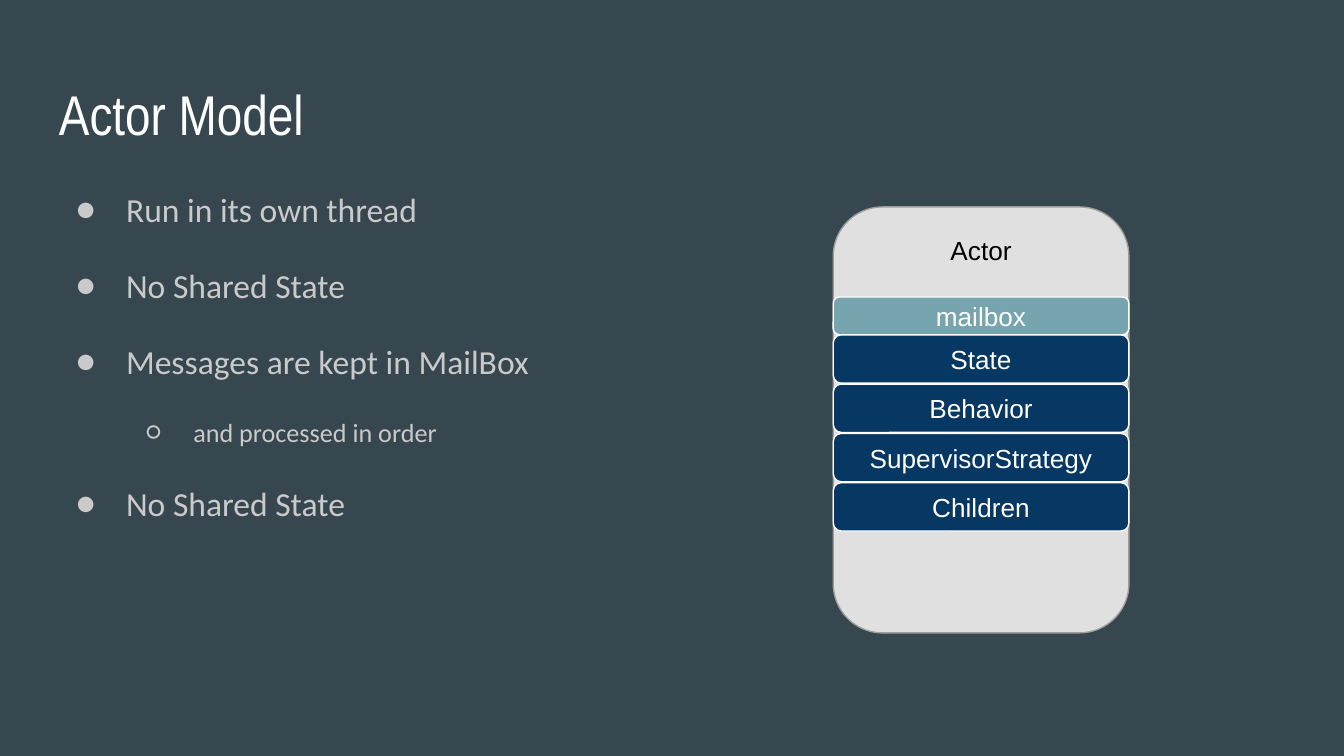
from dataclasses import dataclass

from lxml.etree import SubElement
from pptx import Presentation
from pptx.dml.color import RGBColor
from pptx.enum.shapes import MSO_SHAPE as Shape
from pptx.enum.text import MSO_ANCHOR as Anchor, PP_ALIGN as Align
from pptx.oxml.ns import qn
from pptx.util import Pt

COLORS = {
    "background": "37474F",
    "white": "FFFFFF",
    "black": "000000",
    "body": "CACACA",
    "actor": "E0E0E0",
    "actor_line": "9E9E9E",
    "mailbox": "76A5AF",
    "part": "073763",
}
INSET = 7.2
ACTOR_LEFT, ACTOR_WIDTH = 446.4, 158.4
PARTS_TOP, PART_HEIGHT, PART_PITCH = 179.4, 25.9, 26.4


@dataclass
class Bullet:
    text: str
    level: int = 0


@dataclass
class Box:
    text: str
    top: float
    height: float
    fill: str
    line: str = "white"
    color: str = "white"
    anchor: Anchor = Anchor.MIDDLE


BULLETS = [
    Bullet("Run in its own thread"),
    Bullet("No Shared State"),
    Bullet("Messages are kept in MailBox"),
    Bullet("and processed in order", level=1),
    Bullet("No Shared State"),
]
PARTS = ["State", "Behavior", "SupervisorStrategy", "Children"]
BOXES = [
    Box("Actor", 110.9, 228.2, "actor", "actor_line", "black", Anchor.TOP),
    Box("mailbox", 159.1, 20.2, "mailbox"),
    *(Box(name, PARTS_TOP + i * PART_PITCH, PART_HEIGHT, "part")
      for i, name in enumerate(PARTS)),
]


def rgb(name: str) -> RGBColor:
    return RGBColor.from_string(COLORS[name])


def write(p, text: str, *, size: float, font: str, color: str, align=Align.LEFT) -> None:
    p.alignment = align
    r = p.add_run()
    r.text = text
    r.font.size = Pt(size)
    r.font.name = font
    r.font.color.rgb = rgb(color)


def set_frame(sp, anchor: Anchor):
    tf = sp.text_frame
    tf.word_wrap = True
    tf.vertical_anchor = anchor
    tf.margin_left = tf.margin_right = tf.margin_top = tf.margin_bottom = Pt(INSET)
    return tf


def add_text_box(s, left: float, top: float, width: float, height: float):
    sp = s.shapes.add_textbox(Pt(left), Pt(top), Pt(width), Pt(height))
    return set_frame(sp, Anchor.TOP)


def set_bullet(p, level: int) -> None:
    """Give the paragraph its hanging indent and bullet sign."""
    p.level = level
    pPr = p._p.get_or_add_pPr()
    pPr.set("marL", str(Pt(36 * (level + 1))))
    pPr.set("indent", str(-Pt((27, 25.2)[level])))
    bu_color = SubElement(pPr, qn("a:buClr"))
    SubElement(bu_color, qn("a:srgbClr"), val=COLORS["body"])
    SubElement(pPr, qn("a:buFont"), typeface="Calibri")
    SubElement(pPr, qn("a:buChar"), char="●○"[level])


def add_bullets(s, bullets: list[Bullet]) -> None:
    tf = add_text_box(s, 24.5, 90.7, 314.6, 269.3)
    for i, bullet in enumerate(bullets):
        p = tf.add_paragraph() if i else tf.paragraphs[0]
        p.line_spacing = 1.15
        p.space_after = Pt(16)
        set_bullet(p, bullet.level)
        write(p, bullet.text, size=(18, 14)[bullet.level], font="Calibri", color="body")


def add_box(s, box: Box) -> None:
    sp = s.shapes.add_shape(Shape.ROUNDED_RECTANGLE, Pt(ACTOR_LEFT), Pt(box.top),
                            Pt(ACTOR_WIDTH), Pt(box.height))
    sp.shadow.inherit = False
    sp.fill.solid()
    sp.fill.fore_color.rgb = rgb(box.fill)
    sp.line.color.rgb = rgb(box.line)
    sp.line.width = Pt(0.75)
    tf = set_frame(sp, box.anchor)
    write(tf.paragraphs[0], box.text, size=14, font="Arial", color=box.color,
          align=Align.CENTER)


def main() -> None:
    prs = Presentation()
    prs.slide_width, prs.slide_height = Pt(720), Pt(405)
    s = prs.slides.add_slide(prs.slide_layouts[6])
    s.background.fill.solid()
    s.background.fill.fore_color.rgb = rgb("background")

    title = add_text_box(s, 24.5, 35.3, 671, 45.4)
    write(title.paragraphs[0], "Actor Model", size=30, font="Arial Narrow", color="white")
    add_bullets(s, BULLETS)
    for box in BOXES:
        add_box(s, box)

    prs.save("out.pptx")


if __name__ == "__main__":
    main()
